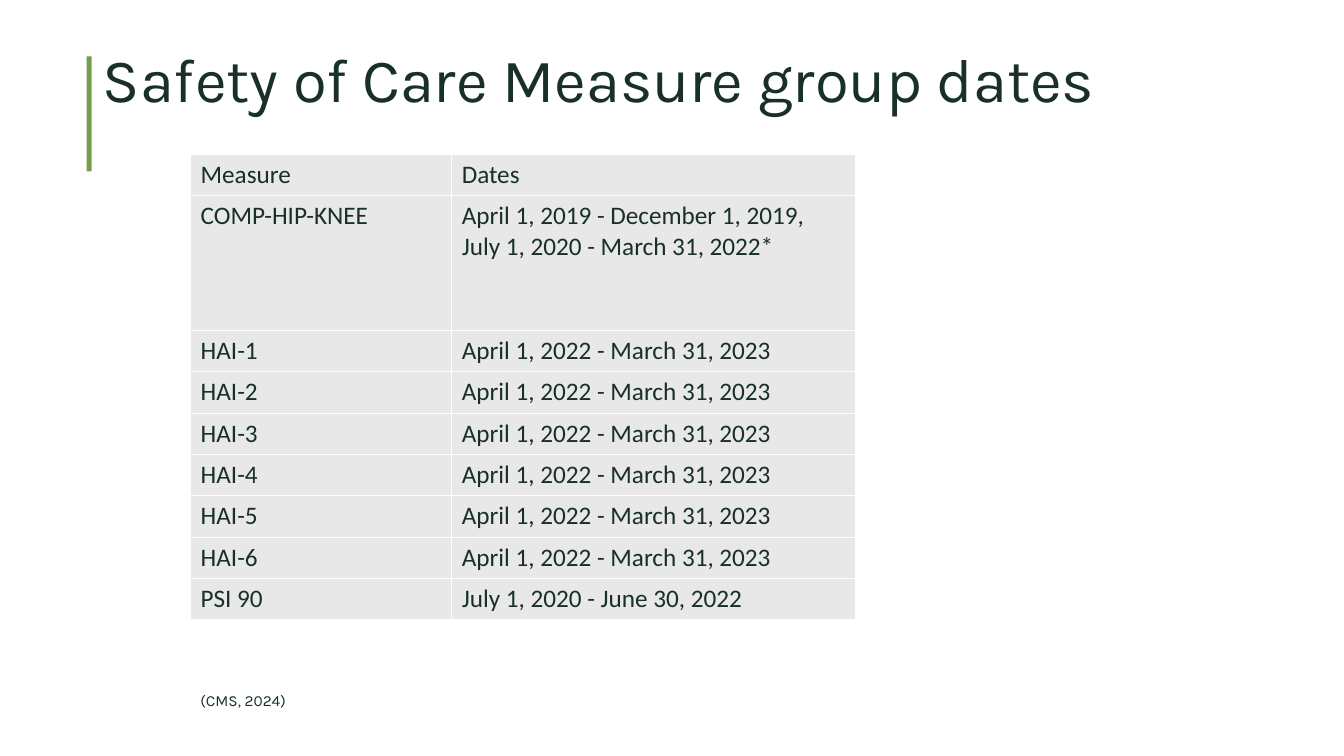
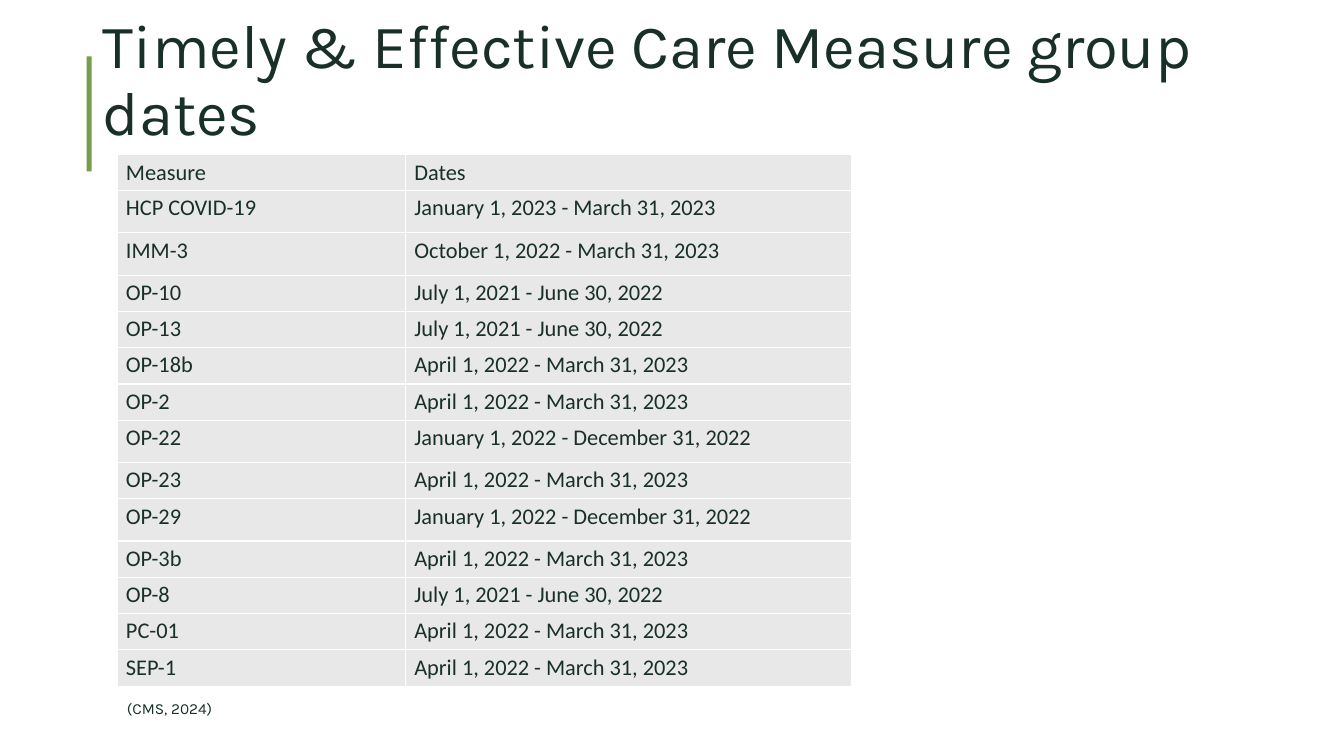
"""Builds two slides listing the reporting dates of hospital measure groups."""
from lxml import etree
from pptx import Presentation
from pptx.dml.color import RGBColor
from pptx.enum.shapes import MSO_SHAPE
from pptx.enum.text import MSO_ANCHOR, PP_ALIGN
from pptx.oxml.ns import qn
from pptx.util import Inches, Pt

RECTANGLE = MSO_SHAPE.RECTANGLE
TOP, MIDDLE, BOTTOM = MSO_ANCHOR.TOP, MSO_ANCHOR.MIDDLE, MSO_ANCHOR.BOTTOM
LEFT = PP_ALIGN.LEFT

COLORS = {"text": "183028", "accent": "789D4A", "cell": "E8E8E8", "border": "FFFFFF"}
HEADING_FONT, TABLE_FONT = "Karla", "Calibri"
TABLE_TOP = 1.53
HEADER = ("Measure", "Dates")
CITATION = "(CMS, 2024)"

SPRING = "April 1, 2022 - March 31, 2023"
SUMMER = "July 1, 2021 - June 30, 2022"
CALENDAR = "January 1, 2022 - December 31, 2022"

SLIDES = [
    {
        "title": "Safety of Care Measure group dates",
        "left": 1.89, "columns": (2.59, 4.01), "size": 18, "insets": (0.1, 0.05),
        "row_height": 0.41, "tall_height": 1.34, "tall": {"COMP-HIP-KNEE"},
        "citation_top": 6.81,
        "rows": [
            ("COMP-HIP-KNEE", "April 1, 2019 - December 1, 2019,\vJuly 1, 2020 - March 31, 2022*"),
            ("HAI-1", SPRING),
            ("HAI-2", SPRING),
            ("HAI-3", SPRING),
            ("HAI-4", SPRING),
            ("HAI-5", SPRING),
            ("HAI-6", SPRING),
            ("PSI 90", "July 1, 2020 - June 30, 2022"),
        ],
    },
    {
        "title": "Timely & Effective Care Measure group dates",
        "left": 1.16, "columns": (2.86, 4.43), "size": 16, "insets": (0.09, 0.04),
        "row_height": 0.36, "tall_height": 0.42,
        "tall": {"HCP COVID-19", "IMM-3", "OP-22", "OP-29"},
        "citation_top": 6.89,
        "rows": [
            ("HCP COVID-19", "January 1, 2023 - March 31, 2023"),
            ("IMM-3", "October 1, 2022 - March 31, 2023"),
            ("OP-10", SUMMER),
            ("OP-13", SUMMER),
            ("OP-18b", SPRING),
            ("OP-2", SPRING),
            ("OP-22", CALENDAR),
            ("OP-23", SPRING),
            ("OP-29", CALENDAR),
            ("OP-3b", SPRING),
            ("OP-8", SUMMER),
            ("PC-01", SPRING),
            ("SEP-1", SPRING),
        ],
    },
]


def color(name):
    return RGBColor.from_string(COLORS[name])


def write(frame, text, font, size):
    frame.text = text
    frame.word_wrap = True
    paragraph = frame.paragraphs[0]
    paragraph.alignment = LEFT
    paragraph.font.name = font
    paragraph.font.size = Pt(size)
    paragraph.font.color.rgb = color("text")
    return paragraph


def add_accent_bar(page):
    bar = page.shapes.add_shape(RECTANGLE, Inches(0.86), Inches(0.56), Inches(0.05), Inches(1.14))
    bar.shadow.inherit = False
    bar.fill.solid()
    bar.fill.fore_color.rgb = color("accent")
    bar.line.fill.background()


def set_title(page, text):
    title = page.shapes.title
    title.left, title.top = Inches(0.92), Inches(0.09)
    title.width, title.height = Inches(11.5), Inches(1.45)
    title.text_frame.vertical_anchor = MIDDLE
    write(title.text_frame, text, HEADING_FONT, 44).line_spacing = 0.9


def set_borders(cell):
    properties = cell._tc.get_or_add_tcPr()
    for position, side in enumerate(("a:lnL", "a:lnR", "a:lnT", "a:lnB")):
        line = etree.Element(qn(side), w=str(Pt(1)))
        fill = etree.SubElement(line, qn("a:solidFill"))
        etree.SubElement(fill, qn("a:srgbClr"), val=COLORS["border"])
        properties.insert(position, line)


def format_cell(cell, text, size, insets, anchor):
    write(cell.text_frame, text, TABLE_FONT, size)
    cell.vertical_anchor = anchor
    cell.margin_left = cell.margin_right = Inches(insets[0])
    cell.margin_top = cell.margin_bottom = Inches(insets[1])
    cell.fill.solid()
    cell.fill.fore_color.rgb = color("cell")
    set_borders(cell)


def add_dates_table(page, content):
    rows = [HEADER, *content["rows"]]
    heights = [content["tall_height"] if measure in content["tall"] else content["row_height"]
               for measure, dates in rows]
    table = page.shapes.add_table(
        len(rows), len(HEADER), Inches(content["left"]), Inches(TABLE_TOP),
        Inches(sum(content["columns"])), Inches(sum(heights))).table
    table.first_row = table.horz_banding = False
    for column, width in zip(table.columns, content["columns"]):
        column.width = Inches(width)
    for index, (row, height) in enumerate(zip(rows, heights)):
        table.rows[index].height = Inches(height)
        anchor = TOP if index else BOTTOM
        for cell, text in zip(table.rows[index].cells, row):
            format_cell(cell, text, content["size"], content["insets"], anchor)


def add_citation(page, left, top):
    box = page.shapes.add_textbox(Inches(left), Inches(top), Inches(9.86), Inches(0.29))
    write(box.text_frame, CITATION, HEADING_FONT, 11)


def main():
    deck = Presentation()
    deck.slide_width, deck.slide_height = Inches(13.33), Inches(7.5)
    title_only = deck.slide_layouts[5]
    for content in SLIDES:
        page = deck.slides.add_slide(title_only)
        add_accent_bar(page)
        set_title(page, content["title"])
        add_dates_table(page, content)
        add_citation(page, content["left"], content["citation_top"])
    deck.save("out.pptx")


if __name__ == "__main__":
    main()
